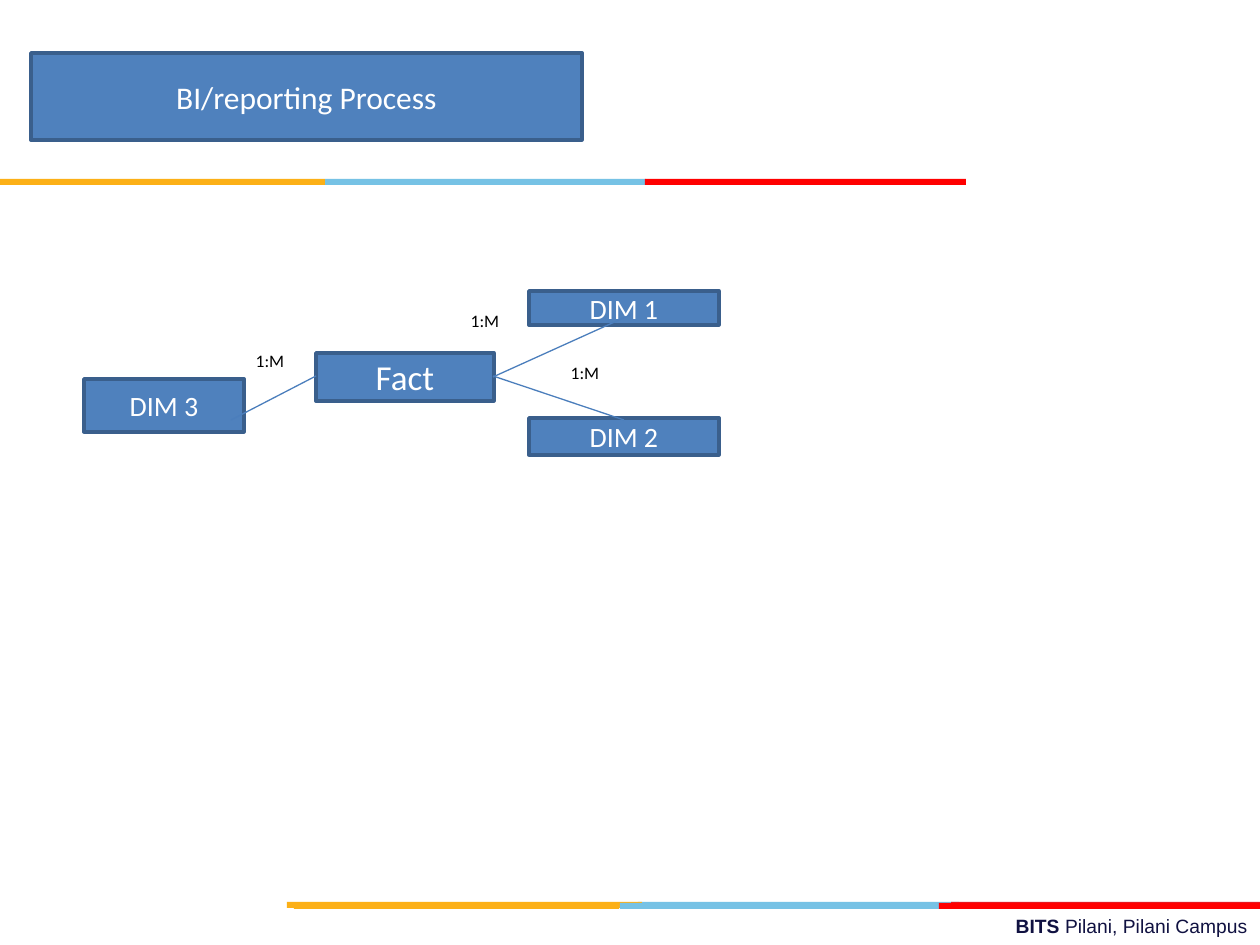
from lxml import etree
from pptx import Presentation
from pptx import util as u
from pptx.dml.color import RGBColor
from pptx.enum import shapes, text
from pptx.oxml.ns import qn

PX_PER_INCH = 126
WHITE = RGBColor(0xFF, 0xFF, 0xFF)
BLACK = RGBColor(0x00, 0x00, 0x00)
NAVY = RGBColor(0x10, 0x11, 0x41)
BLUE = RGBColor(0x4F, 0x81, 0xBD)
BORDER = RGBColor(0x3A, 0x5F, 0x8C)
LINK = RGBColor(0x4B, 0x7E, 0xBC)
AMBER = RGBColor(0xFC, 0xB0, 0x17)
SKY = RGBColor(0x76, 0xC2, 0xE5)
CRIMSON = RGBColor(0xE3, 0x1C, 0x24)
RED = RGBColor(0xFF, 0x00, 0x00)

BAR_HEIGHT = 6
STRIPES = [
    (902, [(638, 321, SKY), (951, 309, CRIMSON), (287, 355, AMBER)]),
    (903, [(620, 321, SKY), (294, 325, AMBER), (939, 321, RED)]),
    (179, [(325, 321, SKY), (0, 325, AMBER), (645, 321, RED)]),
]
ENTITIES = [
    ("Fact", (316, 353, 178, 48), 20),
    ("DIM 1", (529, 291, 190, 34), 16),
    ("DIM 2", (529, 418, 190, 37), 16),
    ("DIM 3", (84, 379, 160, 53), 16),
]
RELATIONS = [
    ((630, 315), (493, 377)),
    ((624, 420), (493, 376)),
    ((316, 376), (231, 420)),
]
CARDINALITIES = [(546, 359), (231, 347), (446, 307)]


def px(value):
    return u.Emu(round(value * u.Inches(1) / PX_PER_INCH))


def write(paragraph, content, *, size, color, font="Calibri", bold=False,
          align=text.PP_ALIGN.CENTER):
    paragraph.alignment = align
    run = paragraph.add_run()
    run.text = content
    run.font.name = font
    run.font.size = u.Pt(size)
    run.font.bold = bold
    run.font.color.rgb = color


def style(shape, fill, border=None):
    shape.fill.solid()
    shape.fill.fore_color.rgb = fill
    if border is None:
        shape.line.fill.background()
    else:
        shape.line.color.rgb = border
        shape.line.width = u.Pt(2)


def add_box(slide, kind, box, fill, border=None):
    shape = slide.shapes.add_shape(kind, *map(px, box))
    shape.shadow.inherit = False
    style(shape, fill, border)
    shape.text_frame.vertical_anchor = text.MSO_ANCHOR.MIDDLE
    return shape


def add_stripe(slide, top, bars):
    for left, width, color in bars:
        add_box(slide, shapes.MSO_SHAPE.RECTANGLE,
                (left, top, width, BAR_HEIGHT), color)


def add_footer(slide):
    box = slide.shapes.add_textbox(*map(px, (451, 908, 809, 37)))
    box.text_frame.word_wrap = True
    paragraph = box.text_frame.paragraphs[0]
    for content, bold in (("BITS ", True), ("Pilani, Pilani Campus", False)):
        write(paragraph, content, size=11, color=NAVY, font="Arial",
              bold=bold, align=text.PP_ALIGN.RIGHT)


def add_title(slide, content):
    title = slide.shapes.title
    title.left, title.top, title.width, title.height = map(px, (31, 53, 551, 87))
    style(title, BLUE, BORDER)
    frame = title.text_frame
    frame.auto_size = text.MSO_AUTO_SIZE.NONE
    frame.vertical_anchor = text.MSO_ANCHOR.MIDDLE
    write(frame.paragraphs[0], content, size=18, color=WHITE)


def add_entity(slide, name, box, size):
    shape = add_box(slide, shapes.MSO_SHAPE.RECTANGLE, box, BLUE, BORDER)
    write(shape.text_frame.paragraphs[0], name, size=size, color=WHITE)


def add_relation(slide, start, end):
    line = slide.shapes.add_connector(
        shapes.MSO_CONNECTOR.STRAIGHT, *map(px, start + end))
    line.line.color.rgb = LINK
    line.line.width = u.Pt(0.75)
    etree.SubElement(line._element.spPr, qn("a:effectLst"))


def add_cardinality(slide, left, top):
    shape = add_box(slide, shapes.MSO_SHAPE.ROUNDED_RECTANGLE,
                    (left, top, 78, 27), WHITE)
    write(shape.text_frame.paragraphs[0], "1:M", size=10, color=BLACK)


def main():
    presentation = Presentation()
    presentation.slide_width = px(1260)
    presentation.slide_height = px(945)
    slide = presentation.slides.add_slide(presentation.slide_layouts[5])
    add_footer(slide)
    for top, bars in STRIPES:
        add_stripe(slide, top, bars)
    add_title(slide, "BI/reporting Process")
    for name, box, size in ENTITIES:
        add_entity(slide, name, box, size)
    for start, end in RELATIONS:
        add_relation(slide, start, end)
    for left, top in CARDINALITIES:
        add_cardinality(slide, left, top)
    presentation.save("out.pptx")


if __name__ == "__main__":
    main()
